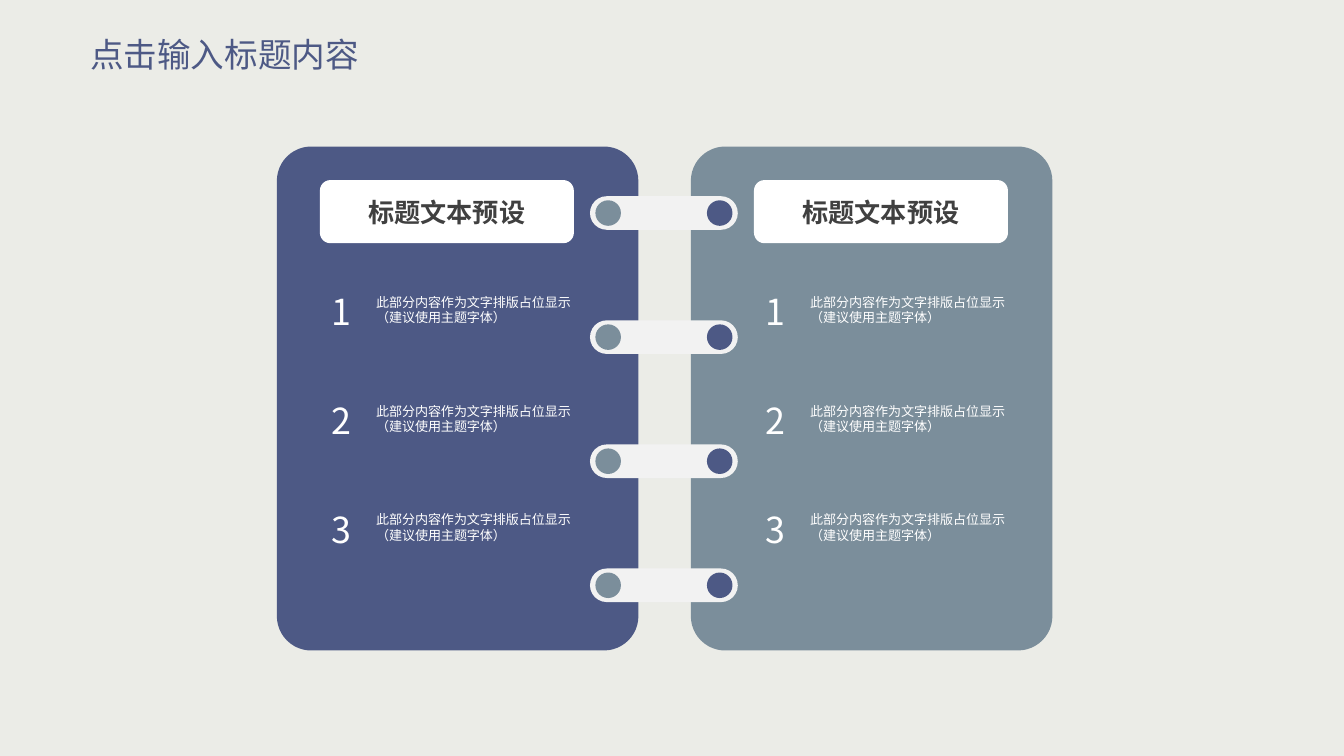
from lxml.etree import SubElement
from pptx import Presentation
from pptx.dml.color import RGBColor as RGB
from pptx.enum.shapes import MSO_SHAPE as Form
from pptx.enum.text import MSO_ANCHOR as Anchor, PP_ALIGN as Align
from pptx.oxml.ns import qn
from pptx.util import Inches, Pt

TITLE = "点击输入标题内容"
NOTE = "此部分内容作为文字排版占位显示\n（建议使用主题字体）"
PAGES = [
    {"head": "标题文本预设", "fill": "navy", "items": [NOTE] * 3},
    {"head": "标题文本预设", "fill": "slate", "items": [NOTE] * 3},
]
COLORS = {"back": "EBECE7", "navy": "4D5985", "slate": "7B8E9B",
          "ring": "F2F2F2", "white": "FFFFFF", "dark": "404040"}
FONT = "Noto Sans CJK SC"

# Grids in inches: first place and step
PAGE_X, PAGE_STEP = 2.06, 3.08
TEXT_X, TEXT_STEP = 2.38, 3.23
ITEM_Y, ITEM_STEP = 2.13, 0.81
RING_X, RING_Y, RING_END, RINGS = 4.39, 1.46, 4.23, 4
RING_W, RING_H, HOLE = 1.1, 0.25, 0.19

deck = Presentation()
deck.slide_width = Inches(10)
deck.slide_height = deck.slide_width * 9 // 16
slide = deck.slides.add_slide(deck.slide_layouts[6])
slide.background.fill.solid()
slide.background.fill.fore_color.rgb = RGB.from_string(COLORS["back"])


def draw(form, x, y, w, h, fill, adj=None):
    shape = slide.shapes.add_shape(form, *map(Inches, (x, y, w, h)))
    shape.shadow.inherit = False
    shape.fill.solid()
    shape.fill.fore_color.rgb = RGB.from_string(COLORS[fill])
    shape.line.fill.background()
    if adj is not None:
        shape.adjustments[0] = adj
    return shape


def write(shape, text, size, color, align=Align.LEFT, anchor=Anchor.MIDDLE,
          wrap=True, bold=False):
    """Put one paragraph in a shape and style its runs."""
    frame = shape.text_frame
    frame.word_wrap, frame.vertical_anchor = wrap, anchor
    para = frame.paragraphs[0]
    para.text, para.alignment = text, align
    for run in para.runs:
        font = run.font
        font.size, font.bold, font.name = Pt(size), bold, FONT
        font.color.rgb = RGB.from_string(COLORS[color])
        SubElement(run._r.get_or_add_rPr(), qn("a:ea"), typeface=FONT)
    return para


def box(x, y, w, h):
    return slide.shapes.add_textbox(*map(Inches, (x, y, w, h)))


for col, page in enumerate(PAGES):
    draw(Form.ROUNDED_RECTANGLE, PAGE_X + col * PAGE_STEP, 1.09, 2.69, 3.75,
         page["fill"], 0.095)

step = (RING_END - RING_Y) / (RINGS - 1)
gap = (RING_H - HOLE) / 2
for row in range(RINGS):
    y = RING_Y + row * step
    draw(Form.ROUNDED_RECTANGLE, RING_X, y, RING_W, RING_H, "ring", 0.5)
    for x, fill in ((RING_X + 0.04, "slate"),
                    (RING_X + RING_W - HOLE - 0.04, "navy")):
        draw(Form.OVAL, x, y + gap, HOLE, HOLE, fill)

for col, page in enumerate(PAGES):
    x = TEXT_X + col * TEXT_STEP
    head = draw(Form.ROUNDED_RECTANGLE, x, 1.34, 1.89, 0.47, "white")
    write(head, page["head"], 14, "dark", Align.CENTER, wrap=False, bold=True)
    for row, note in enumerate(page["items"]):
        y = ITEM_Y + row * ITEM_STEP
        write(box(x - 0.01, y, 0.32, 0.37), str(row + 1), 19.2, "white",
              Align.CENTER, wrap=False)
        para = write(box(x + 0.32, y + 0.01, 1.66, 0.35), note, 7, "white",
                     anchor=Anchor.TOP)
        para.line_spacing = Pt(8.4)

title = box(0.67, 0.19, 2.33, 0.42)
title.text_frame.margin_left = title.text_frame.margin_right = 0
write(title, TITLE, 18, "navy")

deck.save("out.pptx")
